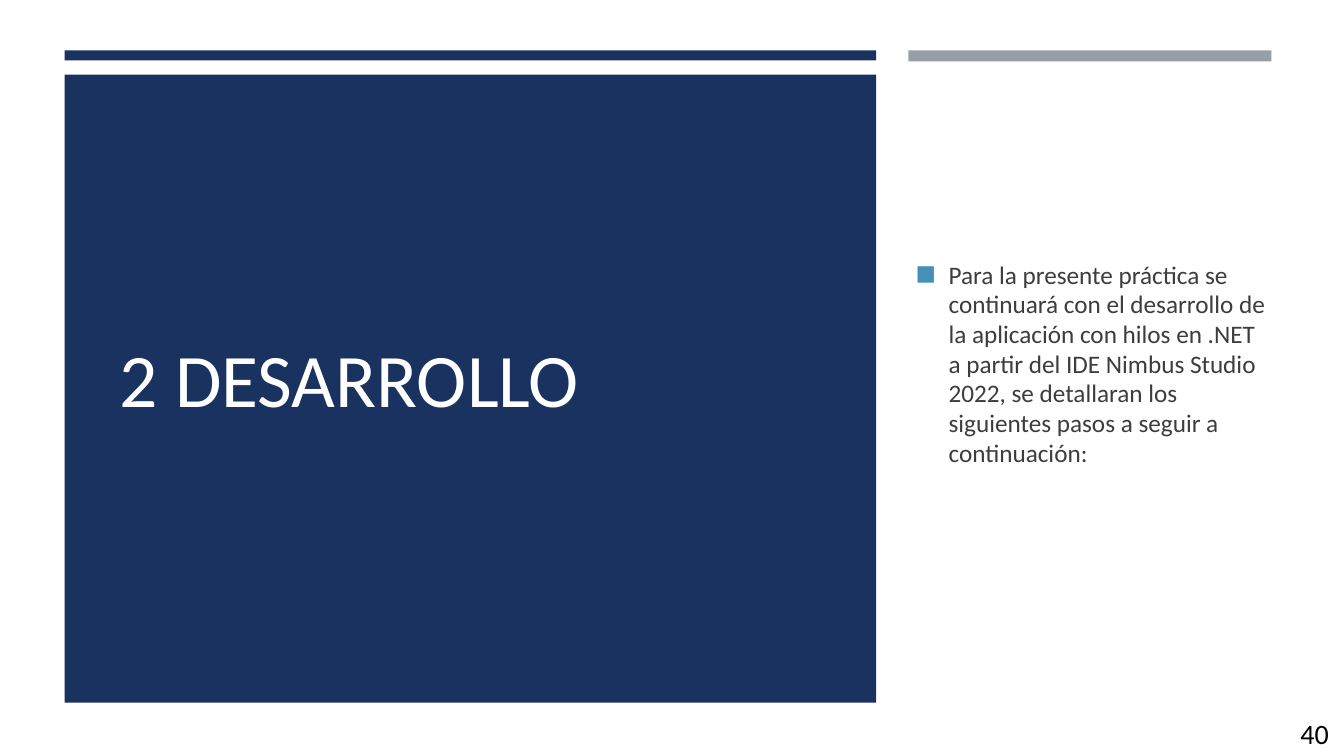
import dataclasses
import typing

import lxml.etree
import pptx
import pptx.dml.color
import pptx.enum.shapes
import pptx.enum.text
import pptx.oxml.ns
import pptx.util

Inches = pptx.util.Inches
Anchor = pptx.enum.text.MSO_ANCHOR

NAVY = "1A3260"
GRAY = "969FA7"
WHITE = "FFFFFF"
INDENT = 0.33


@dataclasses.dataclass
class Bar:
    left: float
    top: float
    width: float
    height: float
    fill: str


@dataclasses.dataclass
class Label:
    left: float
    top: float
    width: float
    height: float
    lines: list[str]
    size: float
    color: str
    anchor: typing.Any = Anchor.MIDDLE
    bottom: float = 0.05
    spacing: float = 1.0
    bullet: str = ""


BARS = [
    Bar(0.64, 0.5, 8.05, 0.1, NAVY),
    Bar(9.01, 0.5, 3.6, 0.11, GRAY),
    Bar(0.64, 0.74, 8.05, 6.23, NAVY),
]

LABELS = [
    Label(1.09, 1.26, 7.2, 4.96, ["2 DESARROLLO"], 54, WHITE),
    Label(
        8.98, 1.26, 3.72, 4.96,
        [
            "Para la presente práctica se continuará con el desarrollo de",
            "la aplicación con hilos en .NET a partir del IDE Nimbus Studio "
            "2022, se detallaran los siguientes pasos a seguir a continuación:",
        ],
        18, "3D3D3D", bottom=0.3, spacing=0.98, bullet="4590B8",
    ),
    Label(12.8, 7.06, 0.53, 0.44, ["40"], 20, "000000", Anchor.TOP),
]


def paint(color: typing.Any, value: str) -> None:
    color.rgb = pptx.dml.color.RGBColor.from_string(value)


def add_bar(slide: typing.Any, bar: Bar) -> None:
    shape = slide.shapes.add_shape(
        pptx.enum.shapes.MSO_SHAPE.RECTANGLE,
        Inches(bar.left), Inches(bar.top), Inches(bar.width), Inches(bar.height),
    )
    shape.shadow.inherit = False
    shape.fill.solid()
    paint(shape.fill.fore_color, bar.fill)
    shape.line.fill.background()


def indent(para: typing.Any, first: bool, color: str) -> None:
    props = para._p.get_or_add_pPr()
    props.set("marL", str(Inches(INDENT)))
    props.set("indent", str(Inches(-INDENT if first else 0)))
    qn = pptx.oxml.ns.qn
    if first:
        tint = lxml.etree.SubElement(props, qn("a:buClr"))
        lxml.etree.SubElement(tint, qn("a:srgbClr"), val=color)
        lxml.etree.SubElement(props, qn("a:buChar"), char="◼")
    else:
        lxml.etree.SubElement(props, qn("a:buNone"))


def add_label(slide: typing.Any, label: Label) -> None:
    box = slide.shapes.add_textbox(
        Inches(label.left), Inches(label.top),
        Inches(label.width), Inches(label.height),
    )
    frame = box.text_frame
    frame.word_wrap = True
    frame.vertical_anchor = label.anchor
    frame.margin_bottom = Inches(label.bottom)
    for index, line in enumerate(label.lines):
        para = frame.add_paragraph() if index else frame.paragraphs[0]
        para.line_spacing = label.spacing
        if label.bullet:
            indent(para, index == 0, label.bullet)
        run = para.add_run()
        run.text = line
        run.font.name = "Calibri"
        run.font.size = pptx.util.Pt(label.size)
        paint(run.font.color, label.color)


def main() -> None:
    deck = pptx.Presentation()
    deck.slide_width = Inches(13.33)
    deck.slide_height = Inches(7.5)
    slide = deck.slides.add_slide(deck.slide_layouts[6])
    slide.background.fill.solid()
    paint(slide.background.fill.fore_color, WHITE)
    for bar in BARS:
        add_bar(slide, bar)
    for label in LABELS:
        add_label(slide, label)
    deck.save("out.pptx")


if __name__ == "__main__":
    main()
